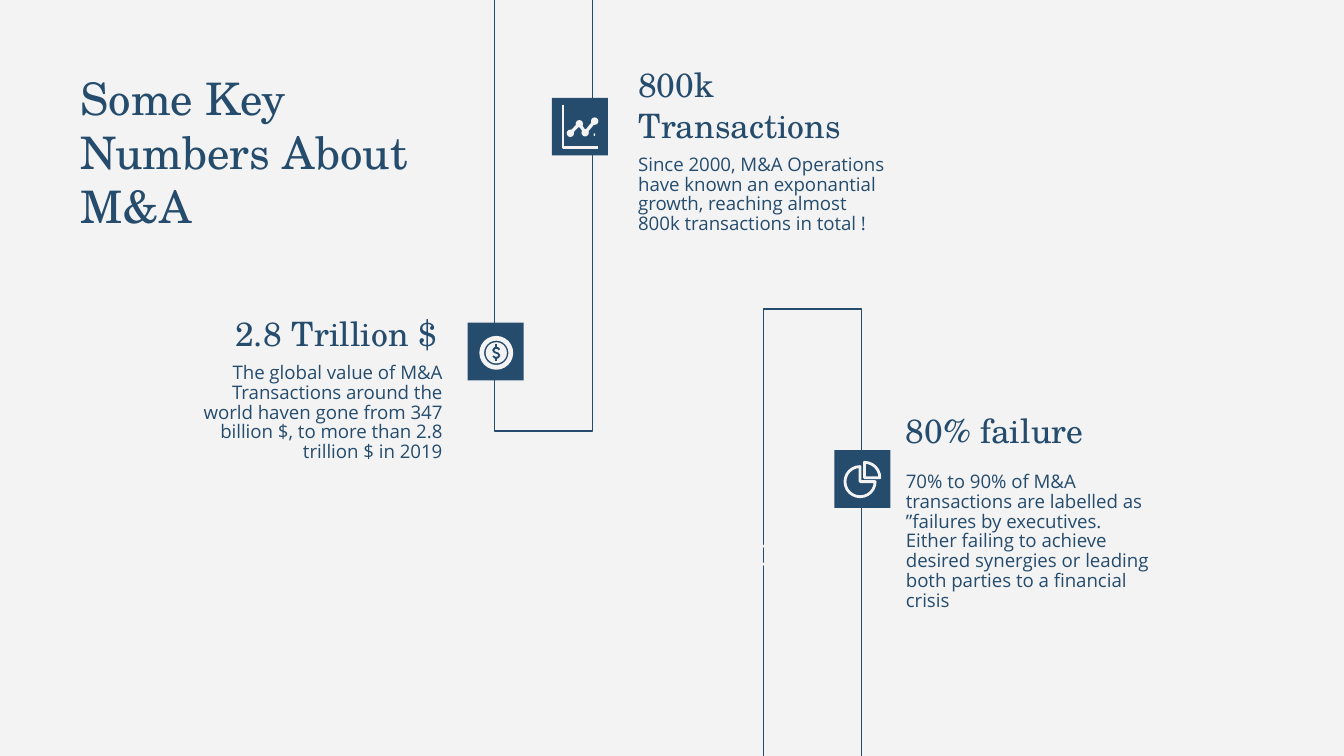
from typing import NamedTuple

from lxml import etree
from pptx import Presentation
from pptx.dml.color import RGBColor
from pptx.enum.shapes import MSO_SHAPE
from pptx.enum.text import MSO_ANCHOR, MSO_AUTO_SIZE, PP_ALIGN
from pptx.oxml.ns import qn
from pptx.util import Cm, Pt

NAVY = RGBColor(0x25, 0x4C, 0x6D)
PALE = RGBColor(0xF3, 0xF3, 0xF3)
RECT, OVAL, DONUT = MSO_SHAPE.RECTANGLE, MSO_SHAPE.OVAL, MSO_SHAPE.DONUT
PIE, ROUNDED = MSO_SHAPE.PIE, MSO_SHAPE.ROUNDED_RECTANGLE
TOP, BOTTOM = MSO_ANCHOR.TOP, MSO_ANCHOR.BOTTOM
LEFT, RIGHT = PP_ALIGN.LEFT, PP_ALIGN.RIGHT
NO_FIT = MSO_AUTO_SIZE.NONE
INSET = 0.25

TITLE_FONT = {"name": "TeX Gyre Schola", "size": Pt(24), "bold": False}
HEAD_FONT = {**TITLE_FONT, "size": Pt(18)}
BODY_FONT = {"name": "Open Sans", "size": Pt(10), "bold": False}
BODY_SPACING = 0.88


class Box(NamedTuple):
    x: float
    y: float
    w: float
    h: float


class Fact(NamedTuple):
    head: str
    body: str
    head_box: Box
    body_box: Box
    badge: tuple[float, float]
    align: PP_ALIGN


FRAMES = [Box(9.35, -0.23, 1.85, 8.38), Box(14.43, 5.84, 1.85, 8.64)]
FACTS = [
    Fact("800k Transactions",
         "Since 2000, M&A Operations have known an exponantial growth, "
         "reaching almost 800k transactions in total !",
         Box(11.81, 1.19, 5.23, 1.8), Box(11.81, 2.69, 5.23, 3.1), (10.43, 1.85), LEFT),
    Fact("2.8 Trillion $",
         "The global value of M&A Transactions around the world haven gone "
         "from 347 billion $, to more than 2.8 trillion $ in 2019",
         Box(3.28, 5.13, 5.23, 1.8), Box(3.38, 6.63, 5.23, 3.1), (8.84, 6.1), RIGHT),
    Fact("80% failure",
         "70% to 90% of M&A transactions are labelled as ”failures by executives. "
         "Either failing to achieve desired synergies or leading both parties "
         "to a financial crisis",
         Box(16.87, 6.96, 5.23, 1.8), Box(16.87, 8.69, 5.23, 3.1), (15.77, 8.51), LEFT),
]


def place(sp, box: Box) -> None:
    for key, value in zip(("left", "top", "width", "height"), box):
        setattr(sp, key, Cm(value))


def paint(sp, fill=None, line=None, width=0.75) -> None:
    sp.shadow.inherit = False
    if fill is None:
        sp.fill.background()
    else:
        sp.fill.solid()
        sp.fill.fore_color.rgb = fill
    if line is None:
        sp.line.fill.background()
    else:
        sp.line.color.rgb = line
        sp.line.width = Pt(width)


def add_shape(shapes, kind, box: Box, **style):
    sp = shapes.add_shape(kind, *map(Cm, box))
    paint(sp, **style)
    return sp


def add_disc(shapes, x: float, y: float, radius: float, fill: RGBColor) -> None:
    add_shape(shapes, OVAL, Box(x - radius, y - radius, 2 * radius, 2 * radius), fill=fill)


def add_path(shapes, points: list[tuple[float, float]], color: RGBColor, width: float) -> None:
    emu = [(Cm(x), Cm(y)) for x, y in points]
    builder = shapes.build_freeform(*emu[0])
    builder.add_line_segments(emu[1:], close=False)
    paint(builder.convert_to_shape(), line=color, width=width)


def write(sp, text: str, box: Box, font: dict, anchor, align, spacing: float = 1.0) -> None:
    place(sp, box)
    tf = sp.text_frame
    frame = {"word_wrap": True, "auto_size": NO_FIT, "vertical_anchor": anchor}
    frame |= {f"margin_{side}": Cm(INSET) for side in ("left", "top", "right", "bottom")}
    for key, value in frame.items():
        setattr(tf, key, value)
    p = tf.paragraphs[0]
    for key, value in {"alignment": align, "space_before": Pt(0), "line_spacing": spacing}.items():
        setattr(p, key, value)
    pPr = p._p.get_or_add_pPr()
    pPr.set("marL", "0")
    pPr.set("indent", "0")
    etree.SubElement(pPr, qn("a:buNone"))
    r = p.add_run()
    r.text = text
    for key, value in font.items():
        setattr(r.font, key, value)
    r.font.color.rgb = NAVY


def add_fact(slide, fact: Fact, body) -> None:
    head = slide.shapes.add_textbox(0, 0, 0, 0)
    write(head, fact.head, fact.head_box, HEAD_FONT, BOTTOM, fact.align)
    write(body, fact.body, fact.body_box, BODY_FONT, TOP, fact.align, BODY_SPACING)
    add_shape(slide.shapes, RECT, Box(*fact.badge, 1.06, 1.09), fill=NAVY)


def add_chart_icon(shapes) -> None:
    dots = [(10.78, 2.52), (10.95, 2.34), (11.06, 2.51), (11.24, 2.29)]
    add_path(shapes, [(10.64, 1.98), (10.64, 2.79), (11.3, 2.79)], PALE, 1.5)
    add_path(shapes, dots, PALE, 1.75)
    for x, y in dots:
        add_disc(shapes, x, y, 0.07, PALE)
    add_shape(shapes, OVAL, Box(11.22, 2.52, 0.03, 0.05), fill=PALE)


def add_coin_icon(shapes) -> None:
    x, y = 9.38, 6.67
    ring = add_shape(shapes, DONUT, Box(x - 0.32, y - 0.32, 0.64, 0.64), fill=PALE)
    ring.adjustments[0] = 0.14
    add_disc(shapes, x, y, 0.2, PALE)
    curve = [(0.06, -0.06), (0.03, -0.09), (-0.03, -0.09), (-0.06, -0.05), (-0.03, -0.01),
             (0.03, 0.01), (0.06, 0.05), (0.03, 0.09), (-0.03, 0.09), (-0.06, 0.06)]
    for stroke in (curve, [(0, -0.16), (0, -0.09)], [(0, 0.09), (0, 0.16)]):
        add_path(shapes, [(x + dx, y + dy) for dx, dy in stroke], NAVY, 1)


def add_pie_icon(shapes) -> None:
    for box, start, end in ((Box(15.97, 8.82, 0.57, 0.57), 0, 162),
                            (Box(16.05, 8.74, 0.58, 0.58), 162, 0)):
        sp = add_shape(shapes, PIE, box, line=PALE, width=1.5)
        sp.adjustments[0] = start
        sp.adjustments[1] = end


def add_chain_icon(shapes) -> None:
    for x, y in ((14.4, 10.53), (14.48, 10.44)):
        link = add_shape(shapes, ROUNDED, Box(x - 0.28, y - 0.12, 0.56, 0.24), line=PALE)
        link.adjustments[0] = 0.5
        link.rotation = -45


def main() -> None:
    prs = Presentation()
    prs.slide_width, prs.slide_height = Cm(25.4), Cm(14.29)
    slide = prs.slides.add_slide(prs.slide_layouts[4])
    slide.background.fill.solid()
    slide.background.fill.fore_color.rgb = PALE
    title, *bodies = slide.placeholders
    for box in FRAMES:
        add_shape(slide.shapes, RECT, box, line=NAVY)
    write(title, "Some Key Numbers About M&A", Box(1.27, 1.09, 7.21, 2.62), TITLE_FONT, TOP, LEFT)
    for fact, body in zip(FACTS, bodies):
        add_fact(slide, fact, body)
    for sp in bodies[len(FACTS):]:
        sp._element.getparent().remove(sp._element)
    for draw in (add_chart_icon, add_coin_icon, add_pie_icon, add_chain_icon):
        draw(slide.shapes)
    prs.save("out.pptx")


if __name__ == "__main__":
    main()
